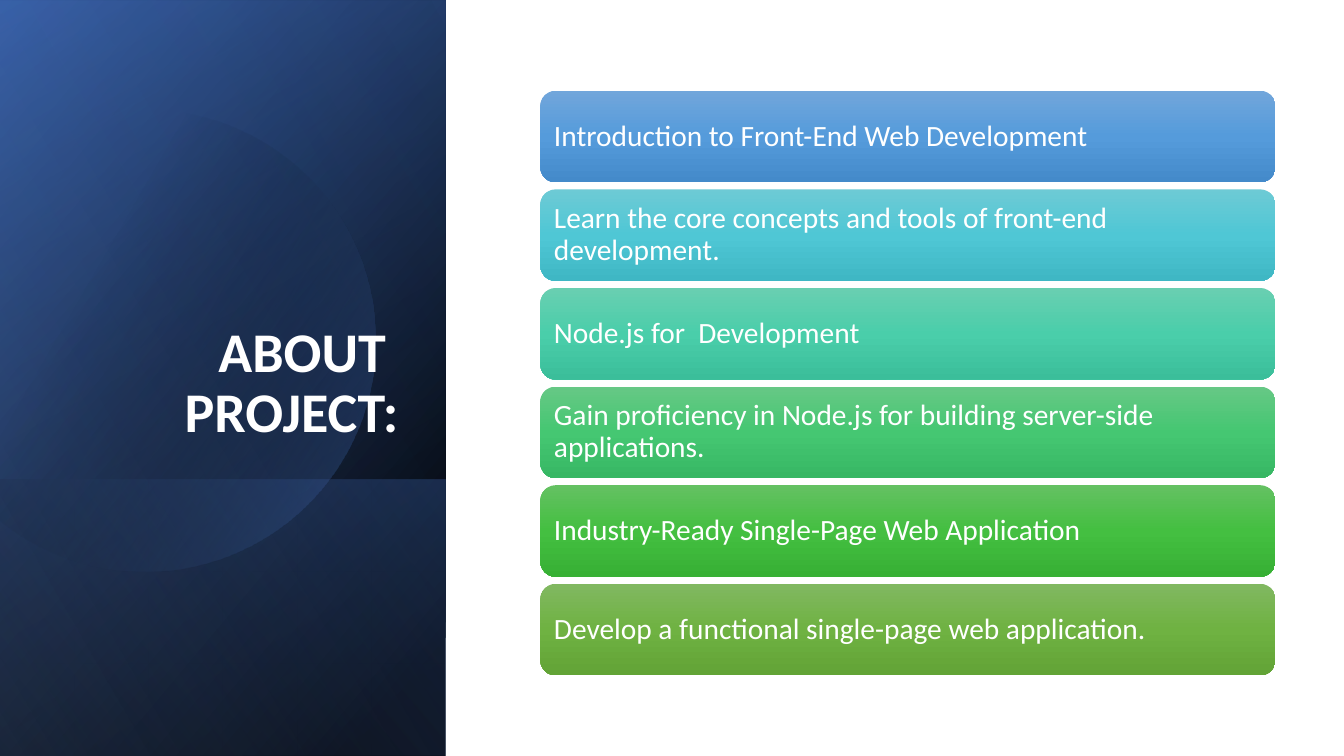
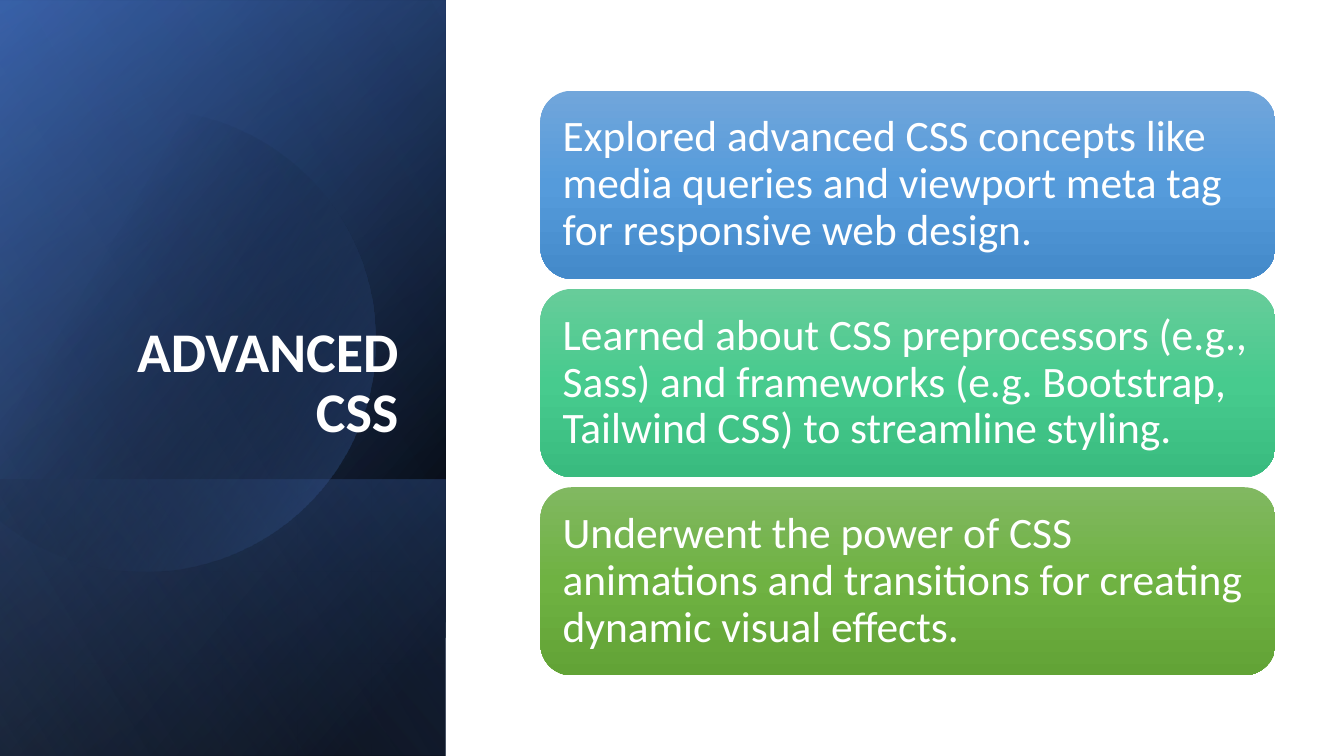
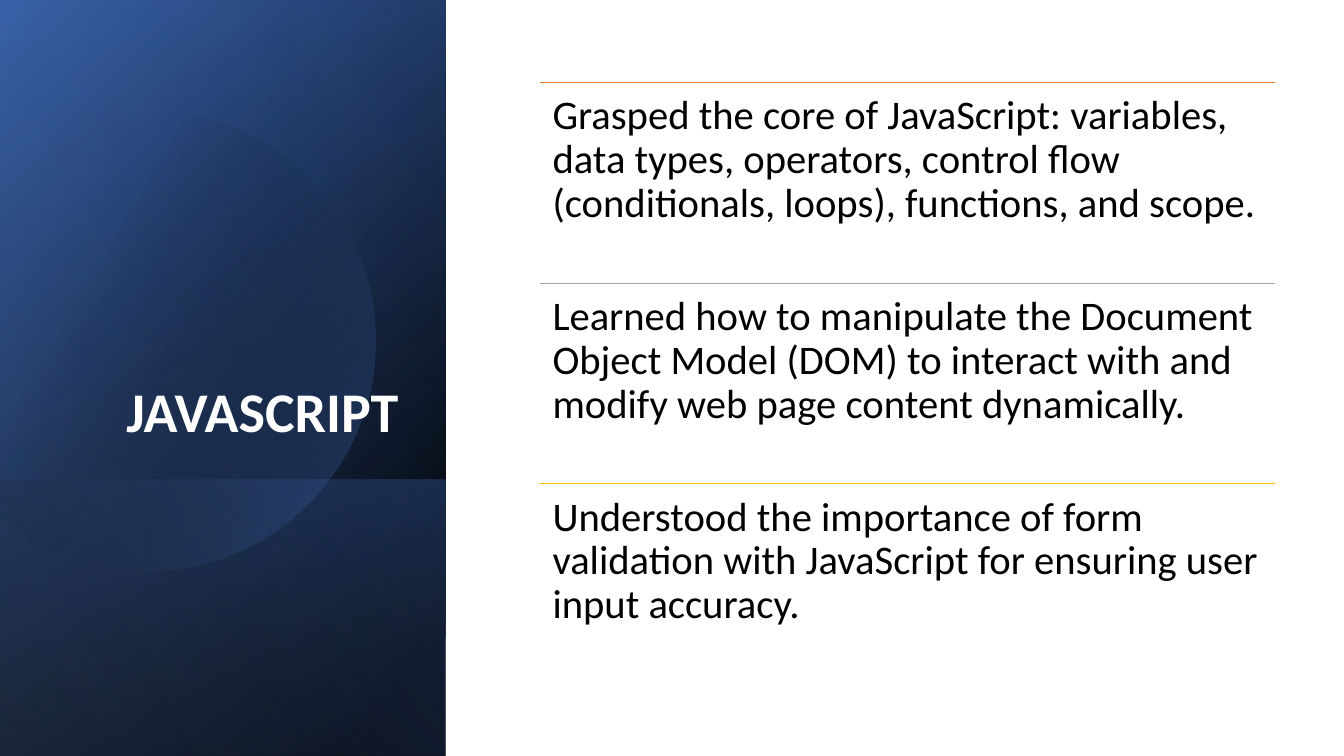
from dataclasses import dataclass
from math import acos, cos, sin

from lxml.etree import SubElement
from pptx import Presentation
from pptx.dml.color import RGBColor
from pptx.enum.shapes import MSO_CONNECTOR, MSO_SHAPE
from pptx.enum.text import MSO_ANCHOR, PP_ALIGN
from pptx.oxml.ns import qn
from pptx.util import Inches, Pt


@dataclass(frozen=True)
class Theme:
    font: str = "Calibri"
    white: str = "FFFFFF"
    black: str = "000000"
    navy: str = "2F5597"
    blue: str = "4472C4"
    pale_blue: str = "8FAADC"
    rules: tuple = ("ED7D31", "A5A5A5", "FFC000")
    # Card gradients, top to bottom
    sky: tuple = ("71A6DB", "559BDB", "448ACA")
    cyan: tuple = ("6DCAD5", "4FC7D5", "3FB7C4")
    teal: tuple = ("69CFB1", "4ACEAA", "3BBE9A")
    mint: tuple = ("67CC9A", "47CB8E", "39BB7F")
    emerald: tuple = ("66C885", "45C772", "37B764")
    green: tuple = ("64C162", "44BF41", "37B034")
    olive: tuple = ("81B861", "6FB242", "62A336")
    # Type
    title_size: int = 40
    topic_size: int = 21
    card_size: int = 31
    note_size: int = 29
    line_spacing: float = 0.9


THEME = Theme()

# Content column
LEFT, WIDTH = 5.36, 7.29
CARDS_TOP, CARDS_HEIGHT = 0.9, 5.8
NOTES_TOP, NOTE_HEIGHT = 0.82, 1.99


class Deck:
    def __init__(self, theme):
        self.theme = theme
        self.prs = Presentation()
        self.prs.slide_width, self.prs.slide_height = Inches(13.33), Inches(7.5)
        self.slide = None

    def new_slide(self, title):
        self.slide = self.prs.slides.add_slide(self.prs.slide_layouts[6])
        self.side_panel()
        heading = self.text_box(0.64, 1.84, 3.41, 2.62)
        heading.vertical_anchor = MSO_ANCHOR.BOTTOM
        self.set_text(heading, title, self.theme.title_size, self.theme.white,
                      PP_ALIGN.RIGHT, bold=True)

    def side_panel(self):
        t = self.theme
        self.band(-1.54, 1.54, 7.5, 50, [(8, t.black, 100), (100, t.navy, 100)])
        self.band(-1.54, 1.55, 7.5, 30, [(0, t.black, 0), (99, t.blue, 46)])
        self.band(0.84, 3.92, 2.74, 130, [(2, t.blue, 29), (100, t.black, 30)])
        self.disc(1.43, 3.38, 2.29, 30, [(29, t.black, 0), (100, t.blue, 43)])
        self.band(-1.54, 1.54, 7.5, 120, [(0, t.black, 0), (99, t.pale_blue, 11)])

    def band(self, left, top, length, angle, stops):
        """A mirrored rectangle turned upright."""
        band = self.slide.shapes.add_shape(
            MSO_SHAPE.RECTANGLE, Inches(left), Inches(top), Inches(length), Inches(4.42))
        band.rotation = 90
        band._element.spPr.find(qn("a:xfrm")).set("flipH", "1")
        self.shade(band, angle, stops)

    def disc(self, center_x, center_y, radius, angle, stops):
        """A disc cut off by the left edge of the slide."""
        reach, steps = acos(-center_x / radius), 90
        turns = [reach * (2 * i / steps - 1) for i in range(steps + 1)]
        outline = [(Inches(center_x + radius * cos(a)), Inches(center_y + radius * sin(a)))
                   for a in turns]
        builder = self.slide.shapes.build_freeform(*outline[0])
        builder.add_line_segments(outline[1:], close=True)
        self.shade(builder.convert_to_shape(), angle, stops)

    def shade(self, shape, angle, stops):
        """Gradient fill from (position %, colour, opacity %) stops, no outline."""
        shape.shadow.inherit = False
        shape.line.fill.background()
        shape.fill.gradient()
        shape.fill.gradient_angle = 360 - angle
        stop_list = shape._element.spPr.find(qn("a:gradFill")).find(qn("a:gsLst"))
        for old_stop in list(stop_list):
            stop_list.remove(old_stop)
        for position, color, opacity in stops:
            stop = SubElement(stop_list, qn("a:gs"), pos=str(position * 1000))
            tint = SubElement(stop, qn("a:srgbClr"), val=color)
            if opacity < 100:
                SubElement(tint, qn("a:alpha"), val=str(opacity * 1000))

    def text_box(self, left, top, width, height):
        box = self.slide.shapes.add_textbox(
            Inches(left), Inches(top), Inches(width), Inches(height))
        return box.text_frame

    def set_text(self, frame, text, size, color, align=PP_ALIGN.LEFT, bold=False,
                 inset=None):
        frame.word_wrap = True
        if inset is not None:
            frame.margin_left = frame.margin_right = Inches(inset)
            frame.margin_top = frame.margin_bottom = Inches(inset)
        paragraph = frame.paragraphs[0]
        paragraph.text = text
        paragraph.alignment = align
        paragraph.line_spacing = self.theme.line_spacing
        font = paragraph.font
        font.name, font.size, font.bold = self.theme.font, Pt(size), bold
        font.color.rgb = RGBColor.from_string(color)

    def cards(self, items, size, gap, inset):
        """Equal rounded cards that fill the content column."""
        height = (CARDS_HEIGHT - gap * (len(items) - 1)) / len(items)
        for i, (text, colors) in enumerate(items):
            card = self.slide.shapes.add_shape(
                MSO_SHAPE.ROUNDED_RECTANGLE, Inches(LEFT),
                Inches(CARDS_TOP + i * (height + gap)), Inches(WIDTH), Inches(height))
            self.shade(card, 90, [(50 * n, color, 100) for n, color in enumerate(colors)])
            card.text_frame.vertical_anchor = MSO_ANCHOR.MIDDLE
            self.set_text(card.text_frame, text, size, self.theme.white, inset=inset)

    def rule(self, top, color):
        rule = self.slide.shapes.add_connector(
            MSO_CONNECTOR.STRAIGHT, Inches(LEFT), Inches(top),
            Inches(LEFT + WIDTH), Inches(top))
        rule.line.color.rgb = RGBColor.from_string(color)
        rule.line.width = Pt(0.5)
        SubElement(rule._element.spPr, qn("a:effectLst"))

    def ruled_notes(self, notes):
        for i, (note, color) in enumerate(zip(notes, self.theme.rules)):
            top = NOTES_TOP + i * NOTE_HEIGHT
            self.rule(top, color)
            self.set_text(self.text_box(LEFT, top, WIDTH, NOTE_HEIGHT), note,
                          self.theme.note_size, self.theme.black, inset=0.12)


def main():
    deck = Deck(THEME)

    # Project topics
    deck.new_slide("ABOUT  PROJECT:")
    deck.cards([
        ("Introduction to Front-End Web Development", THEME.sky),
        ("Learn the core concepts and tools of front-end development.", THEME.cyan),
        ("Node.js for  Development", THEME.teal),
        ("Gain proficiency in Node.js for building server-side applications.",
         THEME.emerald),
        ("Industry-Ready Single-Page Web Application", THEME.green),
        ("Develop a functional single-page web application.", THEME.olive),
    ], THEME.topic_size, gap=0.07, inset=0.09)

    # CSS
    deck.new_slide("ADVANCED CSS")
    deck.cards([
        ("Explored advanced CSS concepts like media queries and viewport meta tag "
         "for responsive web design.", THEME.sky),
        ("Learned about CSS preprocessors (e.g., Sass) and frameworks "
         "(e.g. Bootstrap, Tailwind CSS) to streamline styling.", THEME.mint),
        ("Underwent the power of CSS animations and transitions for creating "
         "dynamic visual effects.", THEME.olive),
    ], THEME.card_size, gap=0.1, inset=0.13)

    # JavaScript
    deck.new_slide("JAVASCRIPT")
    deck.ruled_notes([
        "Grasped the core of JavaScript: variables, data types, operators, "
        "control flow (conditionals, loops), functions, and scope.",
        "Learned how to manipulate the Document Object Model (DOM) to interact "
        "with and modify web page content dynamically.",
        "Understood the importance of form validation with JavaScript for "
        "ensuring user input accuracy.",
    ])

    deck.prs.save("out.pptx")


if __name__ == "__main__":
    main()
